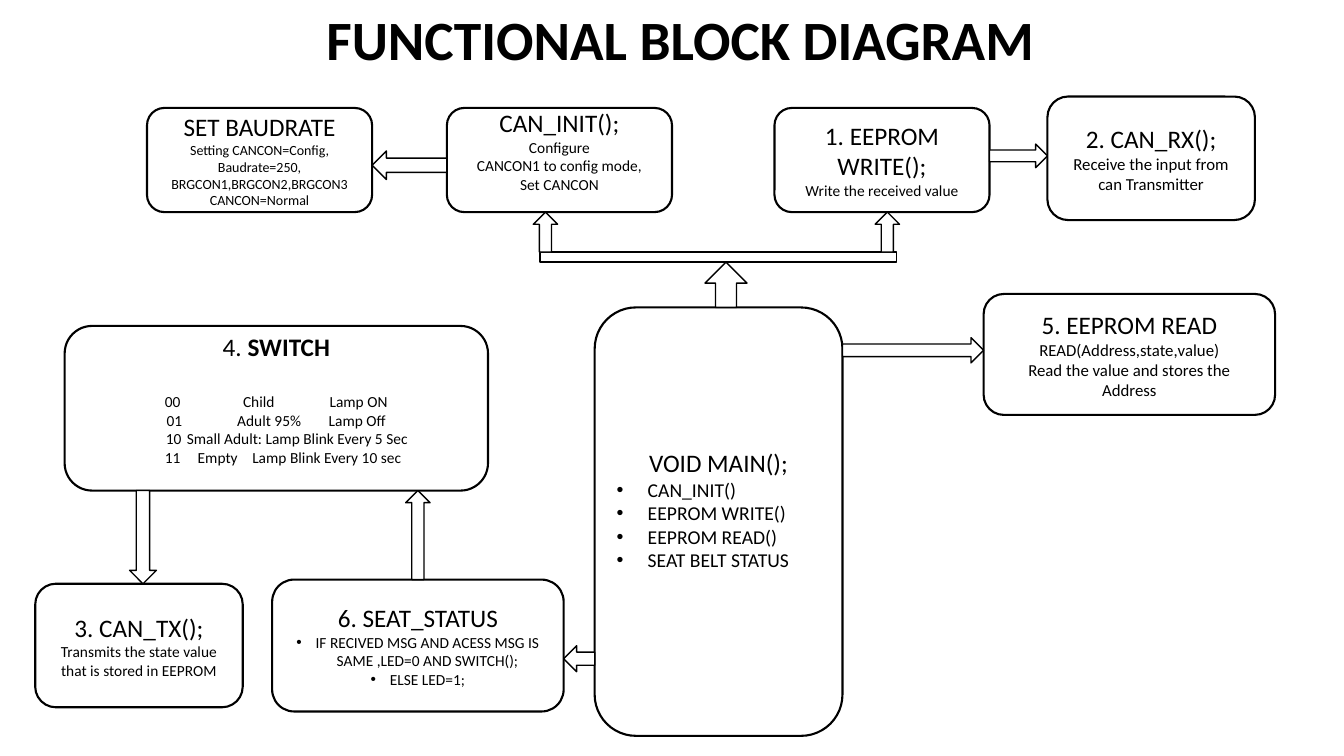
from dataclasses import dataclass
from lxml.etree import SubElement
from pptx import Presentation
from pptx.dml.color import RGBColor
from pptx.enum.shapes import MSO_SHAPE as Preset
from pptx.enum.text import MSO_ANCHOR as Anchor, PP_ALIGN as Align
from pptx.oxml.ns import qn
from pptx.util import Inches, Pt

COLUMNS, ROWS = 160, 90
CELL = Inches(7.5) / ROWS
FONT, INK, PAPER = "Calibri", "000000", "FFFFFF"
LINE_HEIGHT = 1.22
ARROWS = {"left": Preset.LEFT_ARROW, "right": Preset.RIGHT_ARROW,
          "up": Preset.UP_ARROW, "down": Preset.DOWN_ARROW}


@dataclass
class Box:
    left: float
    top: float
    width: float
    height: float

    @property
    def right(self):
        return self.left + self.width

    @property
    def bottom(self):
        return self.top + self.height

    def place(self, column, row, width, height):
        return Box(self.left + column, self.top + row, width, height)

    def lengths(self):
        return [cells(n) for n in (self.left, self.top, self.width, self.height)]


def cells(count):
    return round(count * CELL)


def colour(value):
    return RGBColor.from_string(value)


def apply(target, formats):
    for key, value in formats.items():
        setattr(target, key, value)


def add_outline(slide, preset, box, weight):
    outline = slide.shapes.add_shape(preset, *box.lengths())
    outline.shadow.inherit = False
    outline.fill.solid()
    outline.fill.fore_color.rgb = colour(PAPER)
    outline.line.color.rgb = colour(INK)
    outline.line.width = Pt(weight)
    return outline


def write(paragraph, text, size, align=Align.CENTER, bold=False):
    paragraph.alignment = align
    run = paragraph.add_run()
    run.text = text
    run.font.color.rgb = colour(INK)
    apply(run.font, {"name": FONT, "size": Pt(size), "bold": bold})


def add_bullet(paragraph, indent):
    properties = paragraph._p.get_or_add_pPr()
    properties.set("marL", str(cells(indent)))
    properties.set("indent", str(-cells(indent)))
    SubElement(properties, qn("a:buFont"), typeface="Arial")
    SubElement(properties, qn("a:buChar"), char="•")


def add_tabs(paragraph, stops):
    tabs = SubElement(paragraph._p.get_or_add_pPr(), qn("a:tabLst"))
    for stop in stops:
        SubElement(tabs, qn("a:tab"), pos=str(cells(stop)), algn="l")


def add_block(slide, box, heading, details=(), size=11, bullet=0,
              align=Align.CENTER, lift=0):
    frame = add_outline(slide, Preset.ROUNDED_RECTANGLE, box, 1.5).text_frame
    apply(frame, {"word_wrap": True, "vertical_anchor": Anchor.MIDDLE,
                  "margin_bottom": Inches(0.05) + Pt(lift * LINE_HEIGHT)})
    write(frame.paragraphs[0], heading, 18)
    for detail in details:
        paragraph = frame.add_paragraph()
        write(paragraph, detail, size, align)
        if bullet:
            add_bullet(paragraph, bullet)
    return frame


def add_arrow(slide, direction, source, target, share, thickness):
    if direction in ("left", "right"):
        middle = source.top + share * source.height
        start, end = ((target.right, source.left) if direction == "left"
                      else (source.right, target.left))
        box = Box(start, middle - thickness / 2, end - start, thickness)
    else:
        middle = source.left + share * source.width
        start, end = ((target.bottom, source.top) if direction == "up"
                      else (source.bottom, target.top))
        box = Box(middle - thickness / 2, start, thickness, end - start)
    add_outline(slide, ARROWS[direction], box, 1)


def add_title(slide, box):
    title = slide.shapes.title
    apply(title, dict(zip(("left", "top", "width", "height"), box.lengths())))
    title.text_frame.vertical_anchor = Anchor.MIDDLE
    heading = title.text_frame.paragraphs[0]
    heading.line_spacing = 0.9
    write(heading, "FUNCTIONAL BLOCK DIAGRAM", 39.6, bold=True)


def add_main(slide, box):
    add_block(slide, box, "VOID MAIN();",
              ["CAN_INIT()", "EEPROM WRITE()", "EEPROM READ()", "SEAT BELT STATUS"],
              14, bullet=3.7, align=Align.LEFT, lift=14)


def add_startup(slide, box, main):
    baudrate = box.place(0, 1.35, 26.8, 12.4)
    init = box.place(35.7, 1.35, 26.8, 12.4)
    eeprom_write = box.place(74.7, 1.35, 25.6, 12.4)
    receive = box.place(107.2, 0, 24.7, 14.7)
    bus = box.place(46.8, 18.5, 42.4, 1.2)
    add_block(slide, baudrate, "SET BAUDRATE",
              ["Setting CANCON=Config,", "Baudrate=250,",
               "BRGCON1,BRGCON2,BRGCON3", "CANCON=Normal"], 10)
    add_block(slide, init, "CAN_INIT();",
              ["Configure", "CANCON1 to config mode,", "Set CANCON"], lift=11)
    add_block(slide, eeprom_write, "1. EEPROM WRITE();", ["Write the received value"])
    add_block(slide, receive, "2. CAN_RX();",
              ["Receive the input from can Transmitter"], 12)
    add_outline(slide, Preset.RECTANGLE, bus, 1)
    add_arrow(slide, "left", init, baudrate, 0.55, 3.4)
    add_arrow(slide, "right", eeprom_write, receive, 0.46, 2.8)
    add_arrow(slide, "up", bus, init, 0.015, 2.9)
    add_arrow(slide, "up", bus, eeprom_write, 0.975, 2.9)
    add_arrow(slide, "up", main, bus, 0.53, 5)


def add_reading(slide, box, main):
    add_block(slide, box, "5. EEPROM READ",
              ["READ(Address,state,value)", "Read the value and stores the Address"], 12)
    add_arrow(slide, "right", main, box, 0.1, 3)


def add_switch(slide, box):
    states = [("00", "Child", "Lamp ON"), ("01", "Adult 95%", "Lamp Off"),
              ("10", "Small Adult: Lamp Blink Every 5 Sec"),
              ("11", "Empty", "Lamp Blink Every 10 sec")]
    stops = [(9.8, 19.1, 29.4), (10, 18.4, 29.3), (9.9, 12.4), (9.8, 13.7, 20.2)]
    frame = add_block(slide, box, "4. ", lift=11)
    write(frame.paragraphs[0], "SWITCH", 18, bold=True)
    for state, tabs in zip(states, stops):
        paragraph = frame.add_paragraph()
        write(paragraph, "".join("\t" + part for part in state), 11, Align.LEFT)
        add_tabs(paragraph, tabs)
    frame.paragraphs[1].space_before = Pt(18 * LINE_HEIGHT)


def add_status(slide, box, main):
    switch = box.place(3.5, 0, 50.4, 19.6)
    transmit = box.place(0, 30.7, 24.7, 14.7)
    seat = box.place(28.2, 30.2, 34.7, 15.7)
    add_switch(slide, switch)
    add_block(slide, transmit, "3. CAN_TX();",
              ["Transmits the state value that is stored in EEPROM"])
    add_block(slide, seat, "6. SEAT_STATUS",
              ["IF RECIVED MSG AND ACESS MSG IS SAME ,LED=0 AND SWITCH();",
               "ELSE LED=1;"], bullet=2.3)
    add_arrow(slide, "down", switch, transmit, 0.185, 3.2)
    add_arrow(slide, "up", seat, switch, 0.5, 2.9)
    add_arrow(slide, "left", main, seat, 0.82, 3.1)


deck = Presentation()
deck.slide_width, deck.slide_height = cells(COLUMNS), cells(ROWS)
diagram = deck.slides.add_slide(deck.slide_layouts[5])
main_box = Box(70.8, 36.6, 29.5, 51)
add_title(diagram, Box(13, 0.8, 136, 8.5))
add_main(diagram, main_box)
add_startup(diagram, Box(17.5, 11.5, 132, 19.7), main_box)
add_reading(diagram, Box(117.1, 35, 34.7, 14.4), main_box)
add_status(diagram, Box(4.2, 38.8, 63, 46), main_box)
deck.save("out.pptx")
